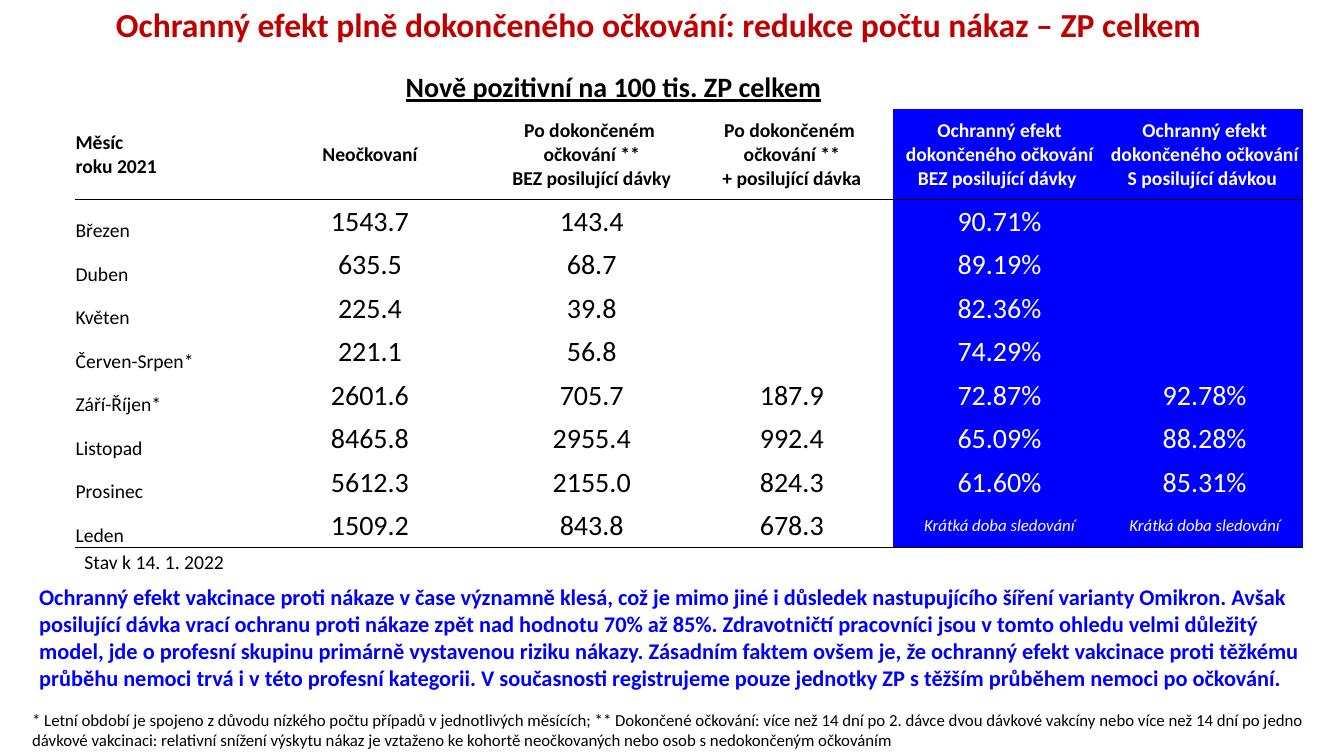
from dataclasses import dataclass
from typing import NamedTuple

from lxml.etree import SubElement
from pptx import Presentation
from pptx.dml.color import RGBColor
from pptx.enum.text import MSO_ANCHOR as Anchor, PP_ALIGN as Align
from pptx.oxml import parse_xml
from pptx.oxml.ns import nsdecls
from pptx.util import Inches, Pt

FONT = "Calibri"
BLACK = RGBColor(0x00, 0x00, 0x00)
WHITE = RGBColor(0xFF, 0xFF, 0xFF)
RED = RGBColor(0xC0, 0x00, 0x00)
BLUE = RGBColor(0x00, 0x00, 0xFF)

SLIDE_W, SLIDE_H = Inches(13.33), Inches(7.5)
PLAIN_TABLE_STYLE = "{2D5ABB26-0587-4C30-8999-92F81FD0307C}"


@dataclass(frozen=True)
class Style:
    size: float
    color: RGBColor = BLACK
    bold: bool = False
    italic: bool = False
    underline: bool = False
    align: Align = Align.LEFT
    line_spacing: float = 1.0


class Area(NamedTuple):
    """Position and size in percent of the slide."""
    left: float
    top: float
    width: float
    height: float


class TextBlock(NamedTuple):
    area: Area
    text: str
    style: Style


class MonthRow(NamedTuple):
    month: str
    unvaccinated: str
    vaccinated: str
    boosted: str
    effect: str
    boosted_effect: str


def across(percent: float) -> int:
    return round(SLIDE_W * percent / 100)


def down(percent: float) -> int:
    return round(SLIDE_H * percent / 100)


# Texts around the table
TEXT_BLOCKS = [
    TextBlock(
        Area(1.65, 0.53, 95.27, 19.33),
        "Ochranný efekt plně dokončeného očkování: redukce počtu nákaz – ZP celkem ",
        Style(24, RED, bold=True, align=Align.CENTER, line_spacing=0.9)),
    TextBlock(
        Area(29.03, 8.53, 33.23, 5.87),
        "Nově pozitivní na 100 tis. ZP celkem",
        Style(20, bold=True, underline=True, align=Align.CENTER)),
    TextBlock(
        Area(1.65, 93.2, 97.45, 6.67),
        "* Letní období je spojeno z důvodu nízkého počtu případů v jednotlivých měsících; "
        "** Dokončené očkování: více než 14 dní po 2. dávce dvou dávkové vakcíny nebo více "
        "než 14 dní po jedno dávkové vakcinaci: relativní snížení výskytu nákaz je vztaženo "
        "ke kohortě neočkovaných nebo osob s nedokončeným očkováním",
        Style(12)),
    TextBlock(
        Area(2.18, 76.53, 96.55, 15.73),
        "Ochranný efekt vakcinace proti nákaze v čase významně klesá, což je mimo jiné i "
        "důsledek nastupujícího šíření varianty Omikron. Avšak posilující dávka vrací ochranu "
        "proti nákaze zpět nad hodnotu 70% až 85%. Zdravotničtí pracovníci jsou v tomto ohledu "
        "velmi důležitý model, jde o profesní skupinu primárně vystavenou riziku nákazy. "
        "Zásadním faktem ovšem je, že ochranný efekt vakcinace proti těžkému průběhu nemoci "
        "trvá i v této profesní kategorii. V současnosti registrujeme pouze jednotky ZP s "
        "těžším průběhem nemoci po očkování.",
        Style(16, BLUE, bold=True)),
    TextBlock(Area(5.55, 72.13, 16.58, 4.53), "Stav k 14. 1. 2022", Style(14)),
]

# Table content
SHORT_FOLLOW_UP = "Krátká doba sledování"
HEADER = MonthRow(
    "Měsíc\nroku 2021",
    "Neočkovaní",
    "Po dokončeném \nočkování **\nBEZ posilující dávky",
    "Po dokončeném \nočkování **\n+ posilující dávka",
    "Ochranný efekt dokončeného očkování BEZ posilující dávky ",
    "Ochranný efekt dokončeného očkování S posilující dávkou ")
MONTHS = [
    MonthRow("Březen", "1543.7", "143.4", "", "90.71%", ""),
    MonthRow("Duben", "635.5", "68.7", "", "89.19%", ""),
    MonthRow("Květen", "225.4", "39.8", "", "82.36%", ""),
    MonthRow("Červen-Srpen*", "221.1", "56.8", "", "74.29%", ""),
    MonthRow("Září-Říjen*", "2601.6", "705.7", "187.9", "72.87%", "92.78%"),
    MonthRow("Listopad", "8465.8", "2955.4", "992.4", "65.09%", "88.28%"),
    MonthRow("Prosinec", "5612.3", "2155.0", "824.3", "61.60%", "85.31%"),
    MonthRow("Leden", "1509.2", "843.8", "678.3", SHORT_FOLLOW_UP, SHORT_FOLLOW_UP),
]
TABLE_LEFT, TABLE_TOP = 5.55, 8.67
COLUMN_WIDTHS = [12.83, 18.3, 14.7, 15.08, 15.83, 14.7]
ROW_HEIGHTS = [5.75, 12] + [5.75] * len(MONTHS)
FIRST_EFFECT_COLUMN = 4
HEADER_ROW, LAST_ROW = 1, len(ROW_HEIGHTS) - 1


def write(frame, text: str, style: Style) -> None:
    frame.text = text
    for paragraph in frame.paragraphs:
        paragraph.alignment = style.align
        paragraph.line_spacing = style.line_spacing
        font = paragraph.font
        font.name, font.size = FONT, Pt(style.size)
        font.bold, font.italic, font.underline = style.bold, style.italic, style.underline
        font.color.rgb = style.color


def add_text(slide, block: TextBlock) -> None:
    left, top, width, height = block.area
    box = slide.shapes.add_textbox(across(left), down(top), across(width), down(height))
    box.text_frame.word_wrap = True
    write(box.text_frame, block.text, block.style)


def add_bottom_rule(cell) -> None:
    rule = parse_xml(f'<a:lnB {nsdecls("a")} w="{Pt(1)}"/>')
    namespace = rule.nsmap["a"]
    fill = SubElement(rule, f"{{{namespace}}}solidFill")
    SubElement(fill, f"{{{namespace}}}srgbClr", val=str(BLACK))
    cell._tc.get_or_add_tcPr().insert(0, rule)


def cell_style(row: int, column: int, text: str) -> Style:
    color = WHITE if column >= FIRST_EFFECT_COLUMN else BLACK
    align = Align.CENTER if column else Align.LEFT
    if row == HEADER_ROW:
        return Style(14, color, bold=True, align=align)
    if text == SHORT_FOLLOW_UP:
        return Style(12, color, italic=True, align=align)
    return Style(20 if column else 14, color, align=align)


def fill_cell(cell, row: int, column: int, text: str) -> None:
    cell.margin_left = cell.margin_top = cell.margin_right = Inches(0.01)
    cell.margin_bottom = 0
    is_month = column == 0 and row > HEADER_ROW
    cell.vertical_anchor = Anchor.BOTTOM if is_month else Anchor.MIDDLE
    write(cell.text_frame, text, cell_style(row, column, text))
    if column >= FIRST_EFFECT_COLUMN:
        cell.fill.solid()
        cell.fill.fore_color.rgb = BLUE
    else:
        cell.fill.background()
    if row in (HEADER_ROW, LAST_ROW):
        add_bottom_rule(cell)


def add_effect_table(slide) -> None:
    table = slide.shapes.add_table(
        len(ROW_HEIGHTS), len(COLUMN_WIDTHS), across(TABLE_LEFT), down(TABLE_TOP),
        across(sum(COLUMN_WIDTHS)), down(sum(ROW_HEIGHTS))).table
    table.first_row = table.horz_banding = False
    table._tbl.tblPr[0].text = PLAIN_TABLE_STYLE
    for column, width in zip(table.columns, COLUMN_WIDTHS):
        column.width = across(width)
    for row, height in zip(table.rows, ROW_HEIGHTS):
        row.height = down(height)

    # Empty band behind the subtitle
    for cell in table.rows[0].cells:
        cell.fill.background()
    table.cell(0, 2).merge(table.cell(0, 5))

    for row, record in enumerate([HEADER, *MONTHS], start=HEADER_ROW):
        for column, text in enumerate(record):
            fill_cell(table.cell(row, column), row, column, text)


def main() -> None:
    presentation = Presentation()
    presentation.slide_width, presentation.slide_height = SLIDE_W, SLIDE_H
    slide = presentation.slides.add_slide(presentation.slide_layouts[6])
    add_effect_table(slide)
    for block in TEXT_BLOCKS:
        add_text(slide, block)
    presentation.save("out.pptx")


if __name__ == "__main__":
    main()
